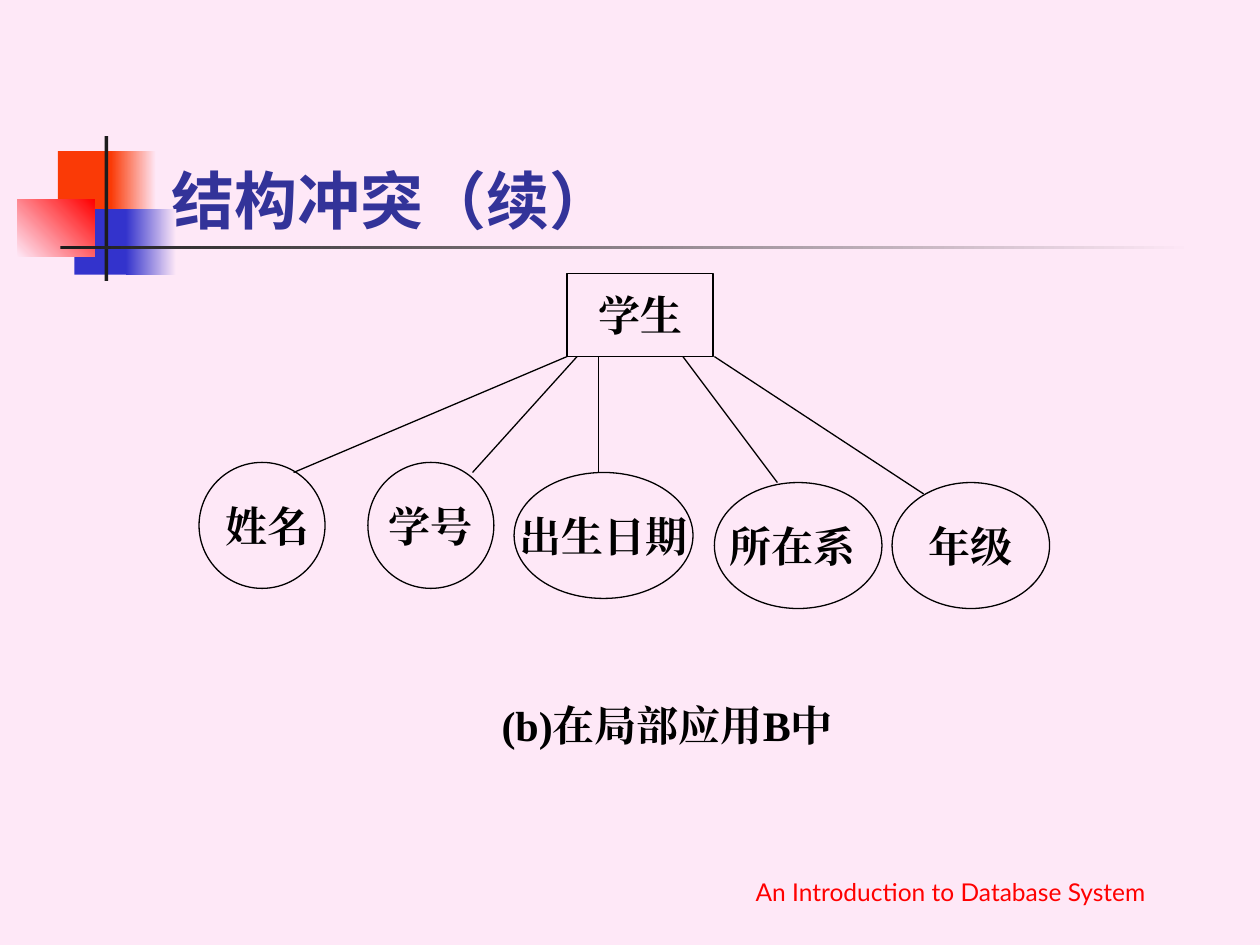
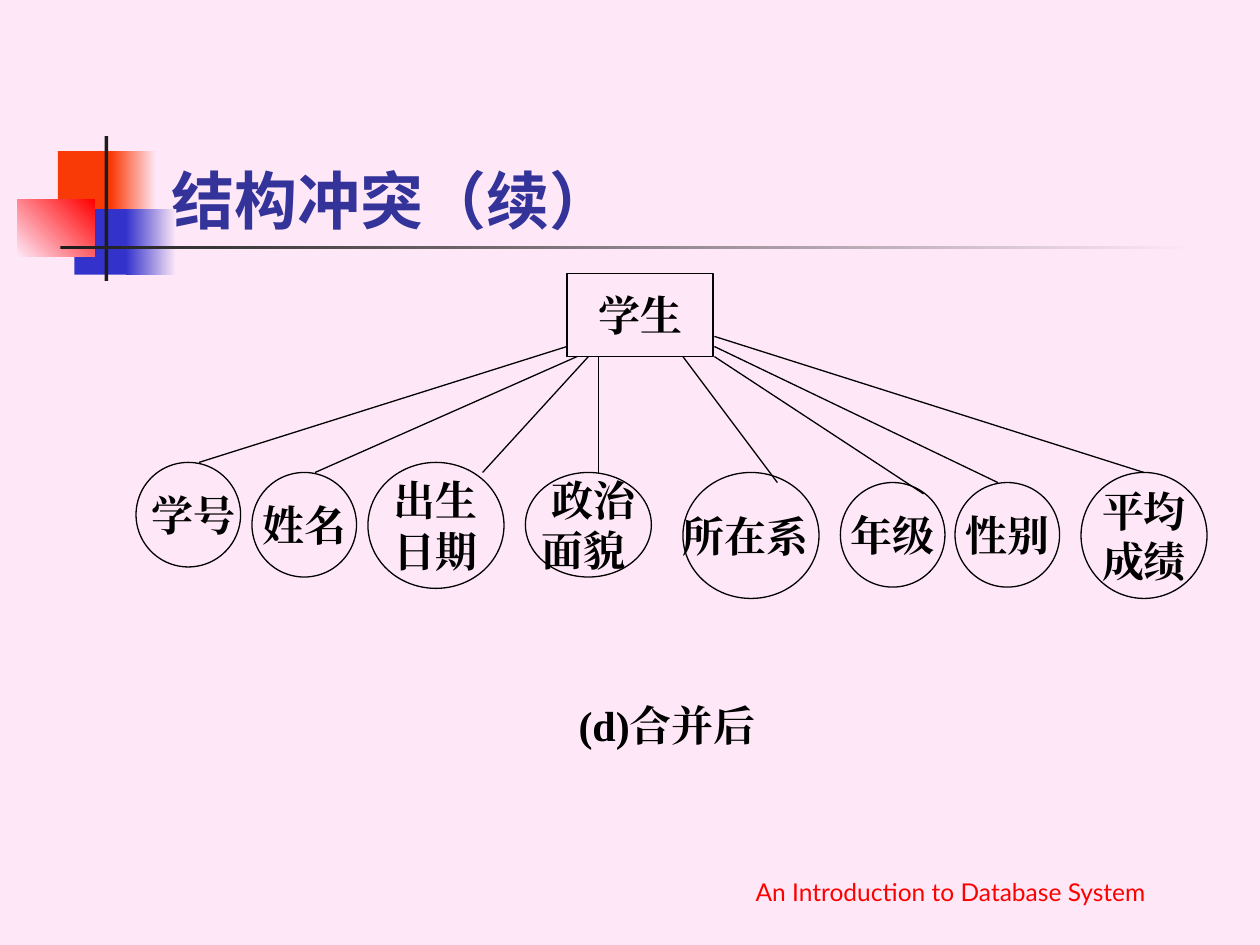
from lxml import etree
from pptx import Presentation
from pptx.dml.color import RGBColor
from pptx.enum import shapes, text
from pptx.oxml import ns
from pptx.util import Inches, Pt

PINK, ORANGE, BLUE, RED = "FEE8F7", "FA3A06", "3333CC", "FF0000"
INK, BLACK, NAVY = "1C1C1C", "000000", "333399"

# left, top, width, height, fill colours (two make a gradient), gradient angle
MOTIF = [
    ((0.46, 1.2, 0.48, 0.52), [ORANGE], 0),
    ((0.88, 1.2, 0.36, 0.52), [ORANGE, PINK], 0),
    ((0.59, 1.66, 0.46, 0.52), [BLUE], 0),
    ((1, 1.66, 0.4, 0.52), [BLUE, PINK], 0),
    ((0.14, 1.58, 0.61, 0.46), [PINK, RED], 45),
    ((0.83, 1.08, 0.03, 1.15), [INK], 0),
    ((0.48, 1.95, 9, 0.03), [INK, PINK], 0),
]
TITLE = "结构冲突（续）"
FOOTER = "An Introduction to Database System"
ENTITY = ("学生", (4.5, 2.17, 1.16, 0.66))
CAPTION_AREA = (3.67, 5.42, 3.25, 0.67)

COMMON_LINKS = [
    ((4.75, 2.83), (4.75, 3.75)),
    ((5.42, 2.83), (6.17, 3.83)),
    ((5.67, 2.83), (7.33, 3.92)),
]
DIAGRAMS = [
    {
        "caption": "(b)在局部应用B中",
        "attributes": [
            (" 姓名", (1.58, 3.67, 1, 1)),
            ("学号", (2.92, 3.67, 1, 1)),
            ("出生日期", (4.08, 3.75, 1.42, 1)),
            ("所在系 ", (5.67, 3.83, 1.33, 1)),
            ("年级", (7.08, 3.83, 1.25, 1)),
        ],
        "links": [
            ((4.5, 2.83), (2.33, 3.75)),
            ((4.58, 2.83), (3.75, 3.75)),
        ],
    },
    {
        "caption": "(d)合并后",
        "attributes": [
            (" 学号", (1.08, 3.67, 0.83, 0.83)),
            ("姓名", (2, 3.75, 0.83, 0.83)),
            ("出生\n日期", (2.92, 3.67, 1.08, 1)),
            (" 政治\n面貌 ", (4.17, 3.75, 1, 0.83)),
            ("所在系 ", (5.42, 3.75, 1.08, 1)),
            ("年级", (6.67, 3.83, 0.83, 0.83)),
            ("性别", (7.58, 3.83, 0.83, 0.83)),
            ("平均\n成绩", (8.58, 3.75, 1, 1)),
        ],
        "links": [
            ((4.5, 2.75), (1.58, 3.67)),
            ((4.58, 2.83), (2.5, 3.75)),
            ((4.67, 2.83), (3.83, 3.75)),
            ((5.67, 2.75), (7.92, 3.83)),
            ((5.67, 2.67), (9.08, 3.75)),
        ],
    },
]


def rgb(hex_code):
    return RGBColor.from_string(hex_code)


def inches(values):
    return [Inches(value) for value in values]


class Deck:
    LABEL = {"name": "Times New Roman", "size": Pt(24), "bold": True}
    HEADING = {"name": "Lato", "size": Pt(36), "bold": True}
    FOOTING = {"name": "Lato", "size": Pt(14), "bold": False}

    def __init__(self):
        self.prs = Presentation()
        self.prs.slide_width, self.prs.slide_height = inches((10, 7.5))
        backdrop = self.prs.slide_master.background.fill
        backdrop.solid()
        backdrop.fore_color.rgb = rgb(PINK)
        self.slide = None

    def new_slide(self):
        """Start a slide with the shared motif, title and footer."""
        self.slide = self.prs.slides.add_slide(self.prs.slide_layouts[5])
        for area, colours, angle in MOTIF:
            self.block(area, colours, angle)
        self.title(TITLE)
        self.textbox(FOOTER, (5.5, 6.74, 4.09, 0.5), self.FOOTING, RED,
                     anchor=text.MSO_ANCHOR.BOTTOM, wrap=True)

    def set_words(self, shape, words, style, colour, align=text.PP_ALIGN.CENTER,
                  anchor=text.MSO_ANCHOR.MIDDLE, wrap=False):
        frame = shape.text_frame
        frame.text = words
        layout = {"auto_size": text.MSO_AUTO_SIZE.NONE,
                  "vertical_anchor": anchor, "word_wrap": wrap}
        for key, value in layout.items():
            setattr(frame, key, value)
        for paragraph in frame.paragraphs:
            paragraph.alignment = align
            for run in paragraph.runs:
                for key, value in style.items():
                    setattr(run.font, key, value)
                run.font.color.rgb = rgb(colour)
                latin = run.font._element.find(ns.qn("a:latin"))
                east_asian = etree.Element(ns.qn("a:ea"), typeface=style["name"])
                latin.addnext(east_asian)

    def title(self, words):
        heading = self.slide.shapes.title
        heading.left, heading.top, heading.width, heading.height = inches(
            (1.26, 0.68, 8.52, 1.25))
        self.set_words(heading, words, self.HEADING, NAVY, text.PP_ALIGN.LEFT,
                       text.MSO_ANCHOR.BOTTOM, wrap=True)

    def textbox(self, words, area, style, colour, **layout):
        box = self.slide.shapes.add_textbox(*inches(area))
        self.set_words(box, words, style, colour, **layout)

    def shape(self, kind, area):
        shape = self.slide.shapes.add_shape(kind, *inches(area))
        shape.shadow.inherit = False
        return shape

    def block(self, area, colours, angle):
        block = self.shape(shapes.MSO_SHAPE.RECTANGLE, area)
        block.line.fill.background()
        if len(colours) == 1:
            block.fill.solid()
            block.fill.fore_color.rgb = rgb(colours[0])
            return
        block.fill.gradient()
        block.fill.gradient_angle = angle
        for stop, colour in zip(block.fill.gradient_stops, colours):
            stop.color.rgb = rgb(colour)

    def outline(self, line):
        line.color.rgb = rgb(BLACK)
        line.width = Pt(0.75)

    def node(self, kind, words, area):
        node = self.shape(kind, area)
        node.fill.background()
        self.outline(node.line)
        self.set_words(node, words, self.LABEL, BLACK)

    def link(self, start, end):
        link = self.slide.shapes.add_connector(
            shapes.MSO_CONNECTOR.STRAIGHT, *inches(start + end))
        self.outline(link.line)
        etree.SubElement(link._element.spPr, ns.qn("a:effectLst"))

    def diagram(self, caption, attributes, links):
        self.new_slide()
        self.node(shapes.MSO_SHAPE.RECTANGLE, *ENTITY)
        for words, area in attributes:
            self.node(shapes.MSO_SHAPE.OVAL, words, area)
        for start, end in COMMON_LINKS + links:
            self.link(start, end)
        self.textbox(caption, CAPTION_AREA, self.LABEL, BLACK)


def main():
    deck = Deck()
    for content in DIAGRAMS:
        deck.diagram(**content)
    deck.prs.save("out.pptx")


if __name__ == "__main__":
    main()
